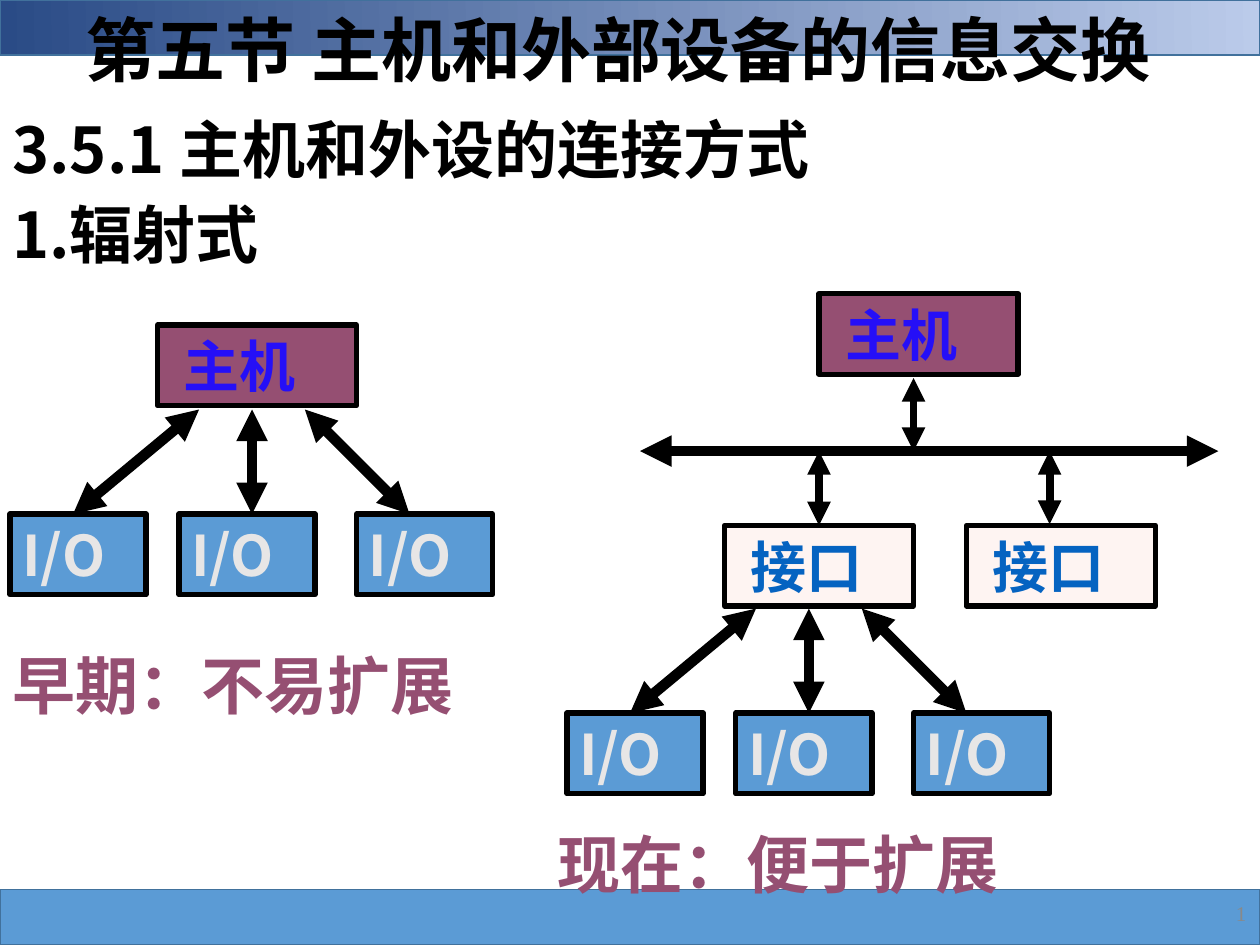
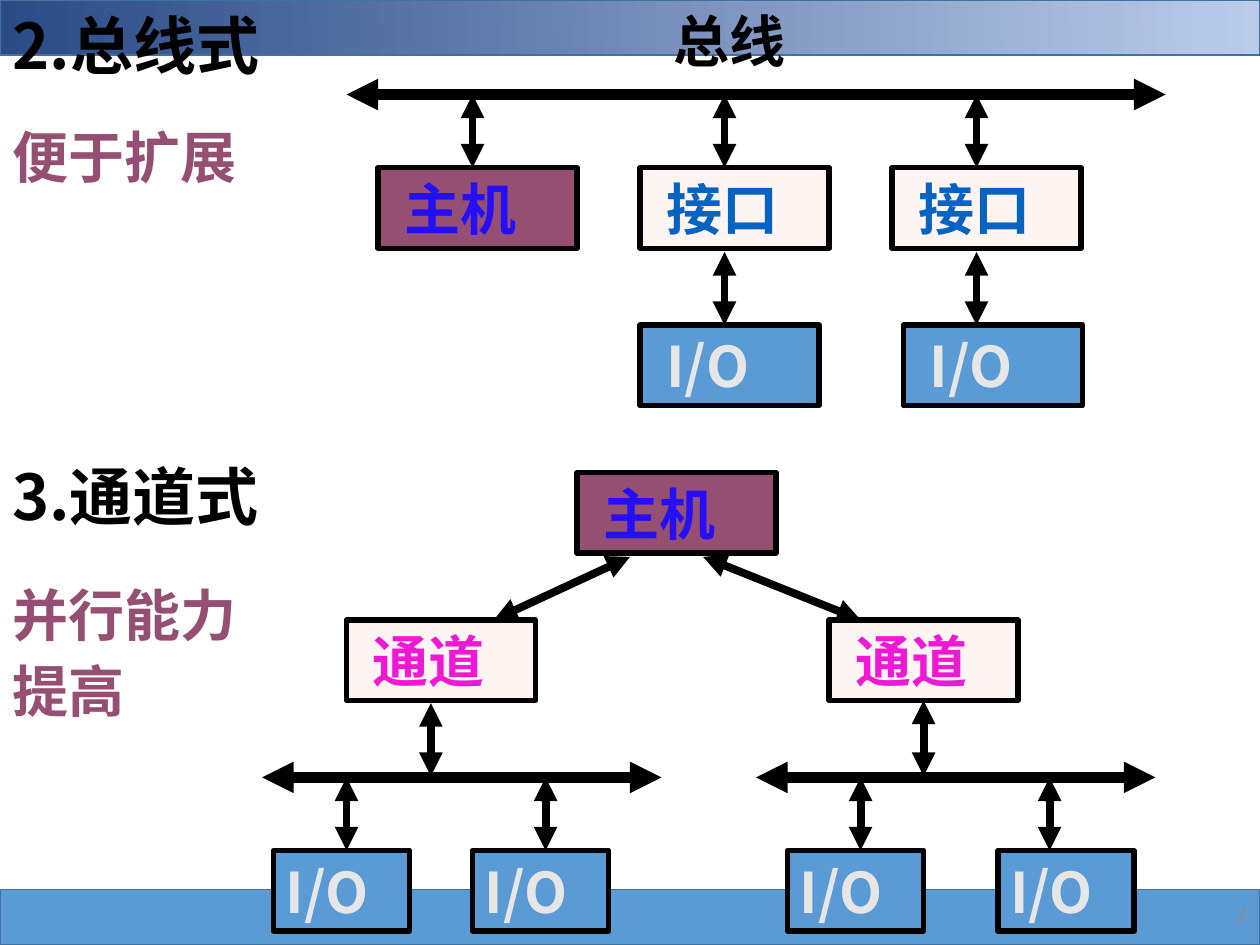
from dataclasses import dataclass

from lxml import etree
from pptx import Presentation
from pptx.dml.color import RGBColor
from pptx.enum.shapes import MSO_CONNECTOR, MSO_SHAPE
from pptx.enum.text import MSO_ANCHOR, MSO_AUTO_SIZE, PP_ALIGN
from pptx.oxml.ns import qn
from pptx.util import Inches, Pt

RECTANGLE = MSO_SHAPE.RECTANGLE
STRAIGHT = MSO_CONNECTOR.STRAIGHT
MIDDLE, TOP = MSO_ANCHOR.MIDDLE, MSO_ANCHOR.TOP
LEFT, RIGHT = PP_ALIGN.LEFT, PP_ALIGN.RIGHT
NO_FIT = MSO_AUTO_SIZE.NONE
TITLE_ONLY = 5
TOP_SIDE, BOTTOM_SIDE = 0, 2


@dataclass(frozen=True)
class Theme:
    """Colours, fonts, type sizes and line widths of the deck."""

    black: str = "000000"
    blue: str = "5B9BD5"
    band_line: str = "41719C"
    band_start: str = "2A4B86"
    band_end: str = "BBCBEA"
    plum: str = "954F72"
    host_text: str = "250FF7"
    cream: str = "FEF4F2"
    port_text: str = "0563C1"
    channel_text: str = "EE18D5"
    device_text: str = "E7E6E6"
    number: str = "898989"
    sans: str = "Noto Sans CJK SC"
    serif: str = "Times New Roman"
    title_size: int = 40
    heading_size: int = 36
    label_size: int = 32
    number_size: int = 12
    bus_width: float = 6
    stem_width: float = 4.5
    border_width: float = 3


THEME = Theme()
NODE_HEIGHT = 0.64
HEADING_HEIGHT = 0.7
STEM_LENGTH = 0.58
INDENT = 0.21
HOST = {"text": "主机", "width": 1.58, "fill": THEME.plum,
        "color": THEME.host_text, "font": THEME.serif, "indent": INDENT}
PORT = {"text": "接口", "width": 1.5, "fill": THEME.cream,
        "color": THEME.port_text, "font": THEME.serif, "indent": INDENT}
CHANNEL = {**PORT, "text": "通道", "color": THEME.channel_text}
DEVICE = {"text": "I/O", "width": 1.08, "fill": THEME.blue,
          "color": THEME.device_text, "font": THEME.sans, "indent": 0.1}
WIDE_DEVICE = {**DEVICE, "width": 1.42, "indent": INDENT}


def assign(target, values):
    """Set each attribute of target from a dict of format values."""
    for name, value in values.items():
        setattr(target, name, value)


def rgb(code):
    """Turn a hexadecimal code into a colour."""
    return RGBColor.from_string(code)


def inches(*lengths):
    """Convert plain numbers to lengths."""
    return [Inches(length) for length in lengths]


def write(box, text, size, color, font, indent=0.1, align=LEFT):
    """Write one styled line into a box and return its span."""
    assign(box.text_frame, {
        "word_wrap": True, "auto_size": NO_FIT, "vertical_anchor": MIDDLE,
        "margin_left": Inches(indent), "margin_right": Inches(0.1),
        "margin_top": 0, "margin_bottom": 0})
    para = box.text_frame.paragraphs[0]
    assign(para, {"alignment": align, "space_before": Pt(0)})
    return add_span(para, text, size, color, font)


def add_span(para, text, size, color, font):
    """Add a styled span that has its East Asian font set too."""
    span = para.add_run()
    span.text = text
    bold = size != THEME.number_size
    assign(span.font, {"size": Pt(size), "bold": bold, "name": font})
    span.font.color.rgb = rgb(color)
    properties = span.font.latin if hasattr(span.font, "latin") else span._r.get_or_add_rPr()
    etree.SubElement(properties, qn("a:ea"), typeface=THEME.sans)
    return span


def add_rectangle(page, place, fill, line, width):
    """Add a flat rectangle with an outline."""
    box = page.shapes.add_shape(RECTANGLE, *inches(*place))
    box.shadow.inherit = False
    box.fill.solid()
    box.fill.fore_color.rgb = rgb(fill)
    box.line.color.rgb = rgb(line)
    box.line.width = Pt(width)
    return box


def add_node(page, kind, left, top):
    """Add a labelled node of the given kind."""
    box = add_rectangle(page, (left, top, kind["width"], NODE_HEIGHT),
                        kind["fill"], THEME.black, THEME.border_width)
    write(box, kind["text"], THEME.label_size, kind["color"], kind["font"],
          kind["indent"])
    return box


def add_link(page, start, end, width, above=None, below=None):
    """Add a double arrow, joined to the boxes above and below if given."""
    link = page.shapes.add_connector(STRAIGHT, *inches(*start, *end))
    link.line.color.rgb = rgb(THEME.black)
    link.line.width = Pt(width)
    for end_name in ("a:headEnd", "a:tailEnd"):
        etree.SubElement(link.line._get_or_add_ln(), qn(end_name), type="triangle")
    etree.SubElement(link.element.spPr, qn("a:effectLst"))
    if above is not None:
        link.begin_connect(above, BOTTOM_SIDE)
    if below is not None:
        link.end_connect(below, TOP_SIDE)


def add_bus(page, left, right, height):
    """Add a horizontal bus."""
    add_link(page, (left, height), (right, height), THEME.bus_width)


def add_stem(page, across, top, **joined):
    """Add a short vertical double arrow."""
    add_link(page, (across, top), (across, top + STEM_LENGTH),
             THEME.stem_width, **joined)


def add_fan(page, left, top):
    """Add three devices and the arrows that fan out to them."""
    for device_left in (0, 1.34, 2.75):
        add_node(page, DEVICE, left + device_left, top + 0.83)
    for start, end in ((1.5, 0.5), (1.92, 1.92), (2.34, 3.17)):
        add_link(page, (left + start, top), (left + end, top + 0.83),
                 THEME.bus_width)


def add_text(page, place, text, size, color, font):
    """Add a single-line text box."""
    box = page.shapes.add_textbox(*inches(*place))
    write(box, text, size, color, font)
    return box


def add_heading(page, text, top, width):
    """Add a section heading at the left edge."""
    add_text(page, (0, top, width, HEADING_HEIGHT), text,
             THEME.heading_size, THEME.black, THEME.sans)


def add_verdict(page, text, left, top):
    """Add a large remark below a diagram."""
    add_text(page, (left, top, 4.17, HEADING_HEIGHT), text,
             THEME.heading_size, THEME.plum, THEME.serif)


def add_two_line_remark(page, place, lines):
    """Add a remark with tightly set lines."""
    box = page.shapes.add_textbox(*inches(*place))
    frame = box.text_frame
    assign(frame, {"word_wrap": True, "vertical_anchor": TOP})
    for index, line in enumerate(lines):
        para = frame.add_paragraph() if index else frame.paragraphs[0]
        assign(para, {"line_spacing": 0.6, "space_before": Pt(20 if index else 0)})
        add_span(para, line, THEME.label_size, THEME.plum, THEME.serif)


def add_page_number(page, number):
    """Add a slide number field at the lower right."""
    box = page.shapes.add_textbox(*inches(8.99, 7.06, 1, 0.37))
    span = write(box, str(number), THEME.number_size, THEME.number,
                 THEME.serif, align=RIGHT)
    run = span._r
    field = etree.Element(qn("a:fld"), type="slidenum",
                          id="{B6F15528-21DE-4FAA-801E-634DDDAF4B2B}")
    run.getparent().replace(run, field)
    field.extend(list(run))


def add_page(deck, title, place, size):
    """Add a page with its bands, title and number."""
    page = deck.slides.add_slide(deck.slide_layouts[TITLE_ONLY])
    add_rectangle(page, (0, 7.06, 10, 0.44), THEME.blue, THEME.band_line, 1)
    band = add_rectangle(page, (0, 0, 10, 0.44), THEME.blue, THEME.band_line, 1)
    band.fill.gradient()
    band.fill.gradient_angle = 1
    for stop, color in zip(band.fill.gradient_stops,
                           (THEME.band_start, THEME.band_end)):
        stop.color.rgb = rgb(color)
    heading = page.shapes.title
    assign(heading, dict(zip(("left", "top", "width", "height"), inches(*place))))
    write(heading, title, size, THEME.black, THEME.sans)
    heading.element.getparent().append(heading.element)
    add_page_number(page, len(deck.slides))
    return page


def build_radial_page(deck):
    """Build the page on radial connection."""
    page = add_page(deck, "第五节 主机和外部设备的信息交换",
                    (0.58, 0, 9.67, 0.77), THEME.title_size)
    add_heading(page, "3.5.1 主机和外设的连接方式", 0.83, 7.5)
    add_heading(page, "1.辐射式", 1.5, 7.5)

    add_node(page, HOST, 1.25, 2.58)
    add_fan(page, 0.08, 3.25)
    add_verdict(page, "早期：不易扩展", 0, 5.08)

    add_node(page, HOST, 6.5, 2.33)
    first_port, _ = [add_node(page, PORT, left, 4.17) for left in (5.75, 7.67)]
    add_bus(page, 5.08, 9.67, 3.58)
    add_stem(page, 7.25, 3)
    add_stem(page, 6.5, 3.58, below=first_port)
    add_stem(page, 8.33, 3.58)
    add_fan(page, 4.5, 4.83)
    add_verdict(page, "现在：便于扩展", 4.33, 6.5)


def build_bus_diagram(page):
    """Draw the host and the interfaces on one bus."""
    add_text(page, (5.25, 0, 1.83, NODE_HEIGHT), "总线",
             THEME.label_size, THEME.black, THEME.serif)
    add_text(page, (0, 0.92, 2.42, NODE_HEIGHT), "便于扩展",
             THEME.label_size, THEME.plum, THEME.serif)
    add_node(page, HOST, 3, 1.33)
    add_bus(page, 2.75, 9.25, 0.75)
    add_stem(page, 3.75, 0.75)
    for port_left, device_left, across in ((5.08, 5.08, 5.75), (7.08, 7.17, 7.75)):
        add_node(page, PORT, port_left, 1.33)
        add_node(page, WIDE_DEVICE, device_left, 2.58)
        add_stem(page, across, 0.75)
        add_stem(page, across, 2)


def build_channel_diagram(page):
    """Draw the host with two channels, each with its own bus."""
    add_heading(page, "3.通道式", 3.58, 4.33)
    add_two_line_remark(page, (0, 4.75, 2.67, 1.02), ("并行能力", "提高"))
    add_node(page, HOST, 4.58, 3.75)
    for start, end in ((5, 3.92), (5.58, 6.83)):
        add_link(page, (start, 4.42), (end, 4.92), THEME.stem_width)
    left_channel, right_channel = [
        add_node(page, CHANNEL, left, 4.92) for left in (2.75, 6.58)]
    for bus_left in (2.08, 6):
        add_bus(page, bus_left, bus_left + 3.17, 6.17)
    add_stem(page, 3.42, 5.58)
    add_stem(page, 7.33, 5.58, above=right_channel)
    for device_left, across in ((2.17, 2.75), (3.75, 4.33),
                                (6.25, 6.83), (7.92, 8.33)):
        add_node(page, DEVICE, device_left, 6.75)
        add_stem(page, across, 6.17)


def main():
    """Build the deck and save it."""
    deck = Presentation()
    assign(deck, {"slide_width": Inches(10), "slide_height": Inches(7.5)})
    build_radial_page(deck)
    page = add_page(deck, "2.总线式", (0, 0, 4.33, HEADING_HEIGHT),
                    THEME.heading_size)
    build_bus_diagram(page)
    build_channel_diagram(page)
    deck.save("out.pptx")


if __name__ == "__main__":
    main()
